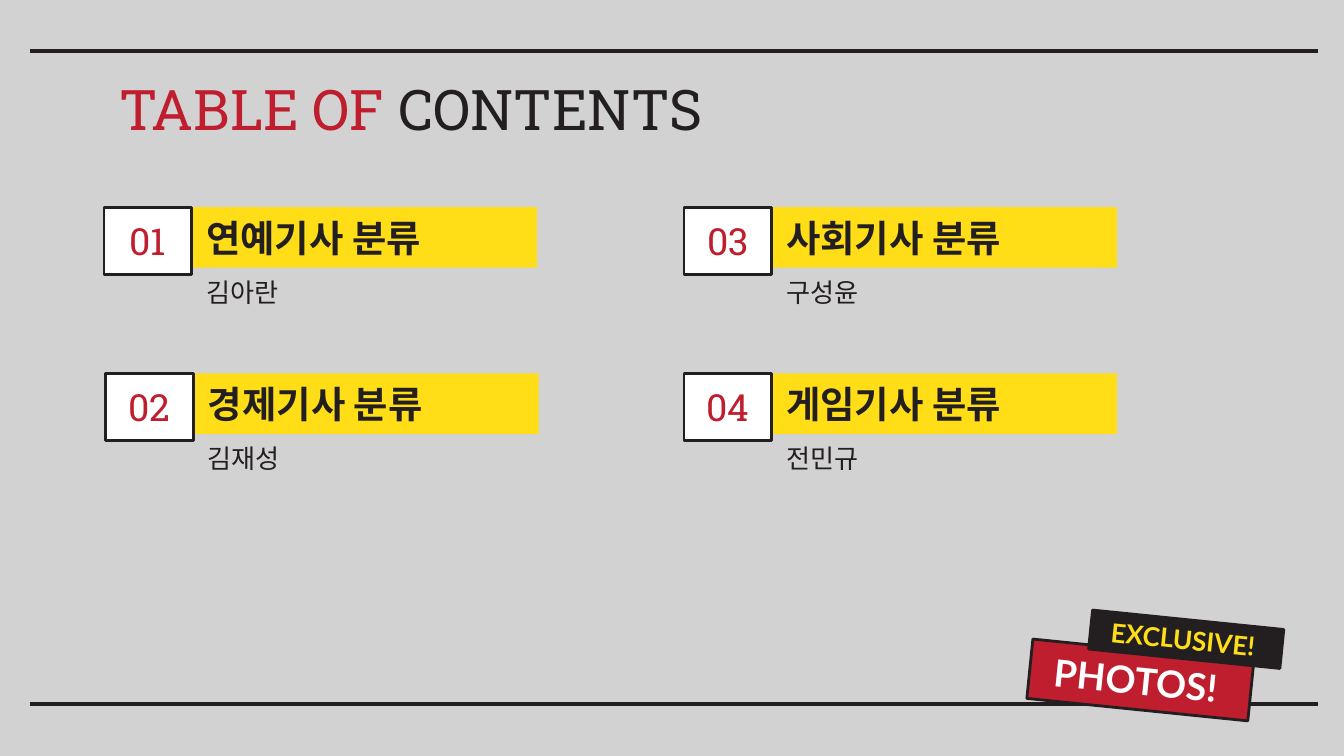
"""Build a table of contents slide with four numbered sections and a badge."""
from dataclasses import dataclass

from lxml.etree import SubElement
from pptx import Presentation
from pptx.dml.color import RGBColor
from pptx.enum.shapes import MSO_CONNECTOR, MSO_SHAPE
from pptx.enum.text import MSO_ANCHOR, MSO_AUTO_SIZE, PP_ALIGN
from pptx.oxml.ns import qn
from pptx.shapes.autoshape import Shape
from pptx.slide import Slide
from pptx.util import Pt

COLORS = {
    "background": "D3D2D2",
    "ink": "231F20",
    "red": "BE1E2D",
    "yellow": "FFDE17",
    "white": "FFFFFF",
}
SERIF = "Roboto Slab"
SANS = "Lato"
INSET = 7.2
NUMBER_WIDTH, NUMBER_HEIGHT = 47, 36
HEADING_WIDTH, HEADING_HEIGHT = 184.3, 32.4
HEADING_OFFSET, NAME_OFFSET, NAME_HEIGHT = 47.7, 30, 38
ROW_TOP, ROW_STEP = 111, 89


@dataclass(frozen=True)
class Section:
    number: str
    heading: str
    name: str
    left: float
    row: int


@dataclass(frozen=True)
class Sticker:
    text: str
    left: float
    top: float
    width: float
    height: float
    fill: str
    color: str
    size: float


SECTIONS = (
    Section("01", "연예기사 분류", "김아란", 55.7, 0),
    Section("02", "경제기사 분류", "김재성", 56.6, 1),
    Section("03", "사회기사 분류", "구성윤", 366.4, 0),
    Section("04", "게임기사 분류", "전민규", 366.4, 1),
)
STICKERS = (
    Sticker("PHOTOS! ", 551.4, 348.3, 119, 32, "red", "white", 20),
    Sticker("EXCLUSIVE! ", 584, 332, 103, 21, "ink", "yellow", 14),
)


def color(name: str) -> RGBColor:
    return RGBColor.from_string(COLORS[name])


def write_text(shape: Shape, text: str, *, font: str = SANS, size: float = 20,
               fill: str = "ink", bold: bool = False,
               align: PP_ALIGN = PP_ALIGN.LEFT,
               anchor: MSO_ANCHOR = MSO_ANCHOR.MIDDLE) -> None:
    frame = shape.text_frame
    frame.word_wrap = True
    frame.auto_size = MSO_AUTO_SIZE.NONE
    frame.vertical_anchor = anchor
    frame.margin_left = frame.margin_right = Pt(INSET)
    frame.margin_top = frame.margin_bottom = Pt(INSET)
    paragraph = frame.paragraphs[0]
    paragraph.alignment = align
    run = paragraph.add_run()
    run.text = text
    run.font.name = font
    run.font.size = Pt(size)
    run.font.bold = bold
    run.font.color.rgb = color(fill)


def add_box(slide: Slide, left: float, top: float, width: float, height: float,
            fill: str, outlined: bool = True) -> Shape:
    shape = slide.shapes.add_shape(
        MSO_SHAPE.RECTANGLE, Pt(left), Pt(top), Pt(width), Pt(height))
    shape.shadow.inherit = False
    shape.fill.solid()
    shape.fill.fore_color.rgb = color(fill)
    if outlined:
        shape.line.color.rgb = color("ink")
        shape.line.width = Pt(1.5)
    else:
        shape.line.fill.background()
    return shape


def add_rule(slide: Slide, top: float) -> None:
    connector = slide.shapes.add_connector(
        MSO_CONNECTOR.STRAIGHT, Pt(16), Pt(top), Pt(706), Pt(top))
    connector.line.color.rgb = color("ink")
    connector.line.width = Pt(2.25)
    SubElement(connector._element.spPr, qn("a:effectLst"))


def add_title(slide: Slide) -> None:
    title = slide.shapes.title
    title.left, title.top = Pt(57), Pt(35.5)
    title.width, title.height = Pt(607), Pt(45)
    write_text(title, "TABLE OF", font=SERIF, size=30, fill="red")
    write_text(title, " CONTENTS", font=SERIF, size=30)


def add_section(slide: Slide, section: Section) -> None:
    top = ROW_TOP + section.row * ROW_STEP
    text_left = section.left + HEADING_OFFSET
    heading = add_box(slide, text_left, top, HEADING_WIDTH, HEADING_HEIGHT,
                      "yellow", outlined=False)
    write_text(heading, section.heading, bold=True)
    number = add_box(slide, section.left, top, NUMBER_WIDTH, NUMBER_HEIGHT, "white")
    write_text(number, section.number, font=SERIF, fill="red", align=PP_ALIGN.CENTER)
    name = slide.shapes.add_textbox(
        Pt(text_left), Pt(top + NAME_OFFSET), Pt(HEADING_WIDTH), Pt(NAME_HEIGHT))
    write_text(name, section.name, size=14, anchor=MSO_ANCHOR.TOP)


def add_sticker(slide: Slide, sticker: Sticker) -> None:
    shape = add_box(slide, sticker.left, sticker.top, sticker.width,
                    sticker.height, sticker.fill)
    shape.rotation = 5.8
    write_text(shape, sticker.text, size=sticker.size, fill=sticker.color,
               bold=True, align=PP_ALIGN.CENTER)


def main() -> None:
    presentation = Presentation()
    presentation.slide_width, presentation.slide_height = Pt(720), Pt(405)
    slide = presentation.slides.add_slide(presentation.slide_layouts[5])
    slide.background.fill.solid()
    slide.background.fill.fore_color.rgb = color("background")
    for top in (27.2, 377.2):
        add_rule(slide, top)
    add_title(slide)
    for section in SECTIONS:
        add_section(slide, section)
    for sticker in STICKERS:
        add_sticker(slide, sticker)
    presentation.save("out.pptx")


if __name__ == "__main__":
    main()
